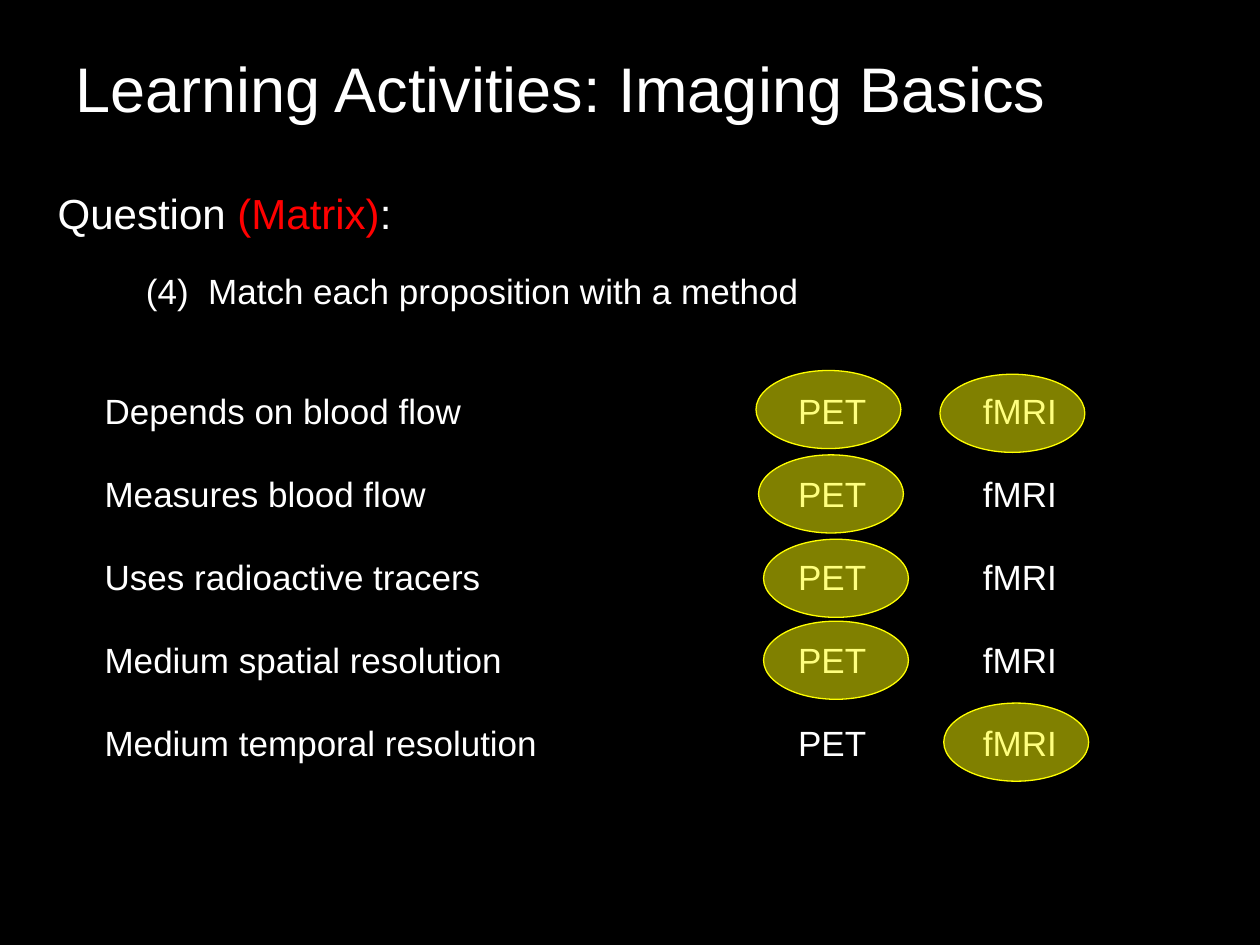
import pptx
import pptx.util
import pptx.dml.color
import pptx.enum.shapes
import pptx.enum.text
import pptx.oxml
import pptx.oxml.ns

Inches = pptx.util.Inches
RGB = pptx.dml.color.RGBColor
ALIGN = pptx.enum.text.PP_ALIGN
MID = pptx.enum.text.MSO_ANCHOR.MIDDLE

BLACK = RGB(0, 0, 0)
WHITE = RGB(255, 255, 255)
RED = RGB(255, 0, 0)
YELLOW = RGB(255, 255, 0)
NO_GRID = "{2D5ABB26-0587-4C30-8999-92F81FD0307C}"

COLS = (5.08, 1.59, 1.39)
ROW = 0.66
OVAL = (1.15, 0.62)
CLAIMS = (
    "Depends on blood flow",
    "Measures blood flow",
    "Uses radioactive tracers",
    "Medium spatial resolution",
    "Medium temporal resolution",
)
# Left and top of each answer mark, measured from the table's corner
MARKS = ((5.27, 0), (6.73, 0.03), (5.29, 0.67),
         (5.33, 1.34), (5.33, 1.99), (6.76, 2.64))


def write(frame, text, size=20, color=WHITE, align=ALIGN.LEFT):
    """Add one formatted run to the first paragraph of a frame."""
    para = frame.paragraphs[0]
    para.alignment = align
    run = para.add_run()
    run.text = text
    font = run.font
    font.name = "Arial"
    font.size = pptx.util.Pt(size)
    font.bold = False
    font.color.rgb = color


def head(slide, left, top, width, height):
    """Place the title in its box."""
    title = slide.shapes.title
    title.left, title.top = Inches(left), Inches(top)
    title.width, title.height = Inches(width), Inches(height)
    frame = title.text_frame
    frame.auto_size = pptx.enum.text.MSO_AUTO_SIZE.NONE
    frame.vertical_anchor = MID
    write(frame, "Learning Activities: Imaging Basics", size=36)


def label(slide, left, top, width, height, parts, size):
    """Place a text box made of (text, color) parts."""
    box = slide.shapes.add_textbox(
        Inches(left), Inches(top), Inches(width), Inches(height))
    box.text_frame.word_wrap = True
    for text, color in parts:
        write(box.text_frame, text, size=size, color=color)


def matrix(slide, left, top):
    """Place the table of claims and methods."""
    shape = slide.shapes.add_table(
        len(CLAIMS), len(COLS), Inches(left), Inches(top),
        Inches(sum(COLS)), Inches(ROW * len(CLAIMS)))
    table = shape.table
    table.first_row = table.horz_banding = False
    style = table._tbl.tblPr.find(pptx.oxml.ns.qn("a:tableStyleId"))
    style.text = NO_GRID
    for col, width in zip(table.columns, COLS):
        col.width = Inches(width)
    for r, claim in enumerate(CLAIMS):
        table.rows[r].height = Inches(ROW)
        for c, text in enumerate((claim, "PET", "fMRI")):
            cell = table.cell(r, c)
            cell.fill.background()
            cell.vertical_anchor = MID
            write(cell.text_frame, text,
                  align=ALIGN.CENTER if c else ALIGN.LEFT)


def marks(slide, left, top):
    """Place the half-clear ovals over the right answers."""
    for x, y in MARKS:
        oval = slide.shapes.add_shape(
            pptx.enum.shapes.MSO_SHAPE.OVAL, Inches(left + x),
            Inches(top + y), Inches(OVAL[0]), Inches(OVAL[1]))
        oval.shadow.inherit = False
        oval.fill.solid()
        oval.fill.fore_color.rgb = YELLOW
        tint = oval._element.spPr.find(
            ".//" + pptx.oxml.ns.qn("a:srgbClr"))
        alpha = tint.makeelement(pptx.oxml.ns.qn("a:alpha"), {"val": "50000"})
        tint.append(alpha)
        oval.line.color.rgb = YELLOW
        oval.line.width = pptx.util.Pt(0.75)


def main():
    """Build and save the slide."""
    deck = pptx.Presentation()
    deck.slide_width, deck.slide_height = Inches(10), Inches(7.5)
    slide = deck.slides.add_slide(deck.slide_layouts[5])
    back = slide.background.fill
    back.solid()
    back.fore_color.rgb = BLACK
    head(slide, 0.5, 0.3, 9, 0.79)
    label(slide, 0.36, 1.44, 4.4, 0.5,
          (("Question ", WHITE), ("(Matrix)", RED), (":", WHITE)), 24)
    label(slide, 1.06, 2.09, 8.27, 0.44,
          (("(4)  Match each proposition with a method", WHITE),), 20)
    matrix(slide, 0.73, 2.94)
    marks(slide, 0.73, 2.94)
    deck.save("out.pptx")


main()
